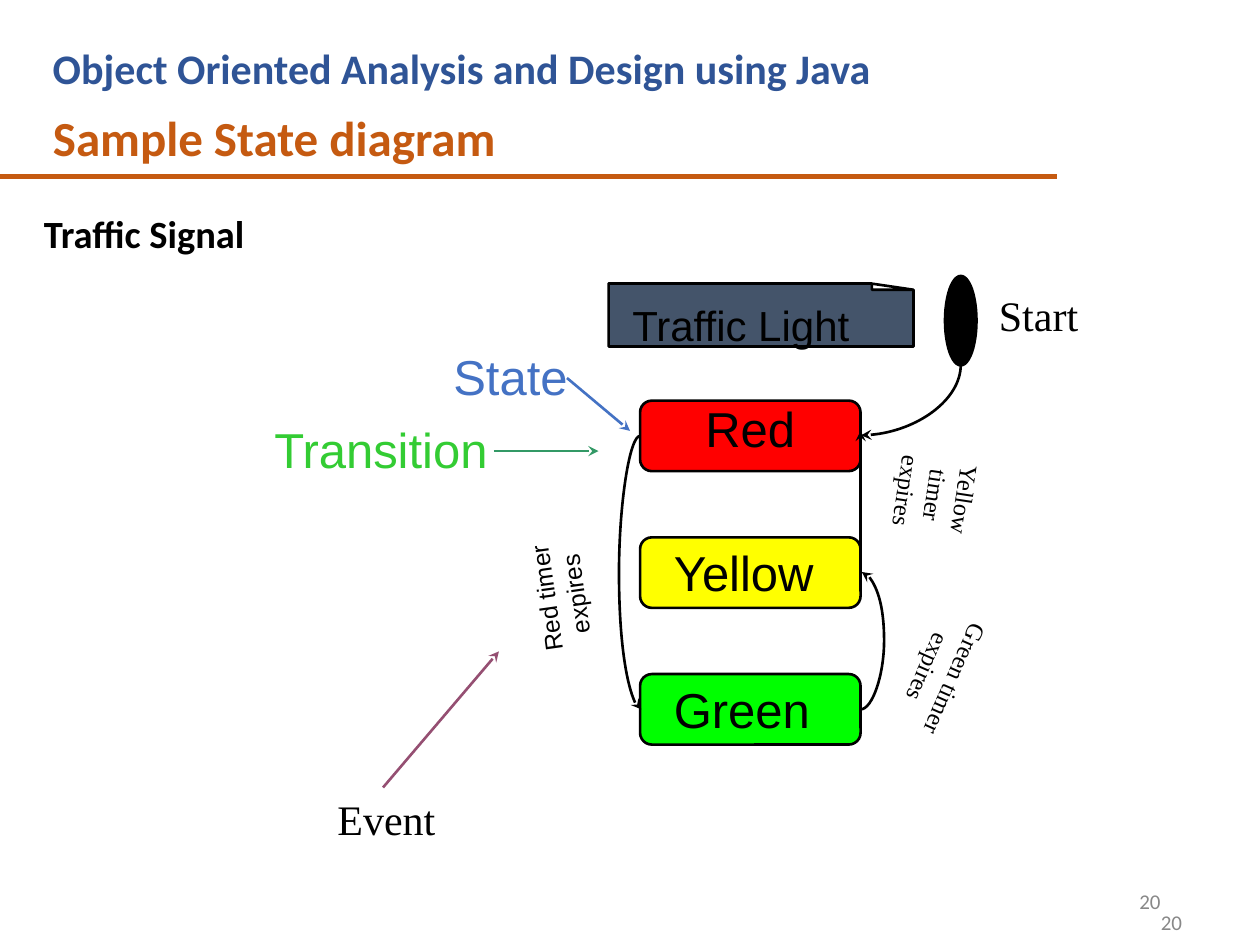
from lxml import etree
from pptx import Presentation
from pptx.dml.color import RGBColor
from pptx.enum.shapes import MSO_CONNECTOR as CONNECTOR, MSO_SHAPE as SHAPE
from pptx.enum.text import MSO_ANCHOR as ANCHOR, MSO_AUTO_SIZE as AUTO_SIZE, PP_ALIGN as ALIGN
from pptx.oxml.ns import qn
from pptx.util import Inches, Pt

BLACK, ORANGE = "000000", "C55A11"
ARIAL, CALIBRI, TIMES = "Arial", "Calibri", "Times New Roman"


def color(hex_string):
    return RGBColor.from_string(hex_string)


def write(shape, text, box, size, font, hex_string, bold=False):
    """Place a text shape and format its single paragraph."""
    shape.left, shape.top, shape.width, shape.height = map(Inches, box)
    frame = shape.text_frame
    frame.text = text
    frame.word_wrap = True
    frame.auto_size = AUTO_SIZE.NONE
    frame.vertical_anchor = ANCHOR.TOP
    paragraph = frame.paragraphs[0]
    paragraph.alignment = ALIGN.LEFT
    paragraph.line_spacing = 0.9 if font == ARIAL else 1.0
    run_font = paragraph.runs[0].font
    run_font.size, run_font.name, run_font.bold = Pt(size), font, bold
    run_font.color.rgb = color(hex_string)
    return shape


presentation = Presentation()
presentation.slide_width, presentation.slide_height = Inches(10), Inches(7.5)
slide = presentation.slides.add_slide(presentation.slide_layouts[5])
shapes = slide.shapes

# Note with a folded corner
note_points = [(6.92, 2.25), (6.92, 2.3), (7.25, 2.3), (6.91, 2.25),
               (7.25, 2.3), (7.25, 2.75), (4.83, 2.75)]
builder = shapes.build_freeform(Inches(4.83), Inches(2.25))
builder.add_line_segments([(Inches(x), Inches(y)) for x, y in note_points])
note = builder.convert_to_shape()

# States and start marker
filled = [(note, "44546A")]
for row, fill in enumerate(["FF0000", "FFFF00", "00FF00"]):
    state = shapes.add_shape(SHAPE.ROUNDED_RECTANGLE, Inches(5.08),
                             Inches(3.18 + 1.085 * row), Inches(1.75), Inches(0.56))
    filled.append((state, fill))
start = shapes.add_shape(SHAPE.OVAL, Inches(7.5), Inches(2.19), Inches(0.25), Inches(0.71))
filled.append((start, BLACK))
for shape, fill in filled:
    shape.shadow.inherit = False
    shape.fill.solid()
    shape.fill.fore_color.rgb = color(fill)
    shape.line.color.rgb = color(BLACK)
    shape.line.width = Pt(1.5)

# Lines: begin, end, colour, width, curve bulge as a share of the curve's width
lines = [
    ((0, 1.4), (8.39, 1.4), ORANGE, 3, None),
    ((4.5, 3), (5, 3.42), "4472C4", 1.5, None),
    ((3.92, 3.58), (4.75, 3.58), "339966", 1.5, None),
    ((3.04, 6.25), (3.96, 5.17), "954F72", 1.5, None),
    ((6.83, 4.5), (6.83, 3.42), BLACK, 1.5, None),
    ((6.83, 5.63), (6.84, 4.54), BLACK, 1.5, 19),
    ((5.08, 3.46), (5.09, 5.63), BLACK, 1.5, -17),
    ((6.95, 2.78), (7.51, 3.57), BLACK, 1.5, 0),
]
for begin, end, hex_string, width, bulge in lines:
    kind = CONNECTOR.STRAIGHT if bulge is None else CONNECTOR.CURVE
    connector = shapes.add_connector(kind, *map(Inches, begin + end))
    connector.line.color.rgb = color(hex_string)
    connector.line.width = Pt(width)
    properties = connector._element.spPr
    etree.SubElement(properties, qn("a:effectLst"))
    if hex_string != ORANGE:
        etree.SubElement(connector.line._get_or_add_ln(), qn("a:tailEnd"), type="stealth")
    geometry = properties.find(qn("a:prstGeom"))
    if bulge:
        etree.SubElement(geometry.find(qn("a:avLst")), qn("a:gd"),
                         name="adj1", fmla=f"val {bulge * 100000}")
    elif bulge == 0:
        # Quarter curve from the start marker, turned to run down and then left
        geometry.set("prst", "curvedConnector2")
        properties.find(qn("a:xfrm")).set("rot", "5400000")

# Headings
write(shapes.title, "Sample State diagram", (0.32, 0.8, 5.99, 0.57), 28, CALIBRI, ORANGE, True)
headings = [
    ("Object Oriented Analysis and Design using Java", (0.32, 0.29, 7.49, 0.5), 24, "2F5496"),
    ("Traffic Signal", (0.25, 1.62, 3.37, 0.47), 22, BLACK),
]
for text, box, size, hex_string in headings:
    write(shapes.add_textbox(0, 0, 0, 0), text, box, size, CALIBRI, hex_string, True)

# Diagram labels
labels = [
    ("Traffic Light", (4.92, 2.37, 1.94, 0.46), 24, ARIAL, BLACK),
    ("Red", (5.5, 3.17, 0.92, 0.52), 28, ARIAL, BLACK),
    ("Yellow", (5.25, 4.31, 1.35, 0.52), 28, ARIAL, BLACK),
    ("Green", (5.25, 5.4, 1.28, 0.52), 28, ARIAL, BLACK),
    ("State", (3.5, 2.75, 1.11, 0.52), 28, ARIAL, "4472C4"),
    ("Transition", (2.08, 3.33, 1.91, 0.52), 28, ARIAL, "33CC33"),
    ("Event", (2.58, 6.25, 1.25, 0.5), 24, TIMES, BLACK),
    ("Start", (7.83, 2.25, 0.83, 0.5), 24, TIMES, BLACK),
]
for label in labels:
    write(shapes.add_textbox(0, 0, 0, 0), *label)

# Events along the transitions
events = [
    ("Green timer expires", (6.6, 4.74, 1.33, 1.03), TIMES, 113.8),
    ("Yellow timer expires", (6.83, 3.42, 1, 1), TIMES, 98.6),
    ("Red timer expires", (3.75, 4.39, 1.5, 0.67), ARIAL, 261.9),
]
for text, box, font, rotation in events:
    event = write(shapes.add_textbox(0, 0, 0, 0), text, box, 14, font, BLACK)
    event.rotation = rotation
    event.text_frame.paragraphs[0].alignment = ALIGN.CENTER
    event.text_frame.paragraphs[0].line_spacing = 1.0

# Slide numbers
for left, top in [(7.06, 6.95), (7.23, 7.12)]:
    number = write(shapes.add_textbox(0, 0, 0, 0), "20", (left, top, 2.25, 0.4),
                   12, CALIBRI, "888888")
    number.text_frame.vertical_anchor = ANCHOR.MIDDLE
    number.text_frame.paragraphs[0].alignment = ALIGN.RIGHT

presentation.save("out.pptx")
